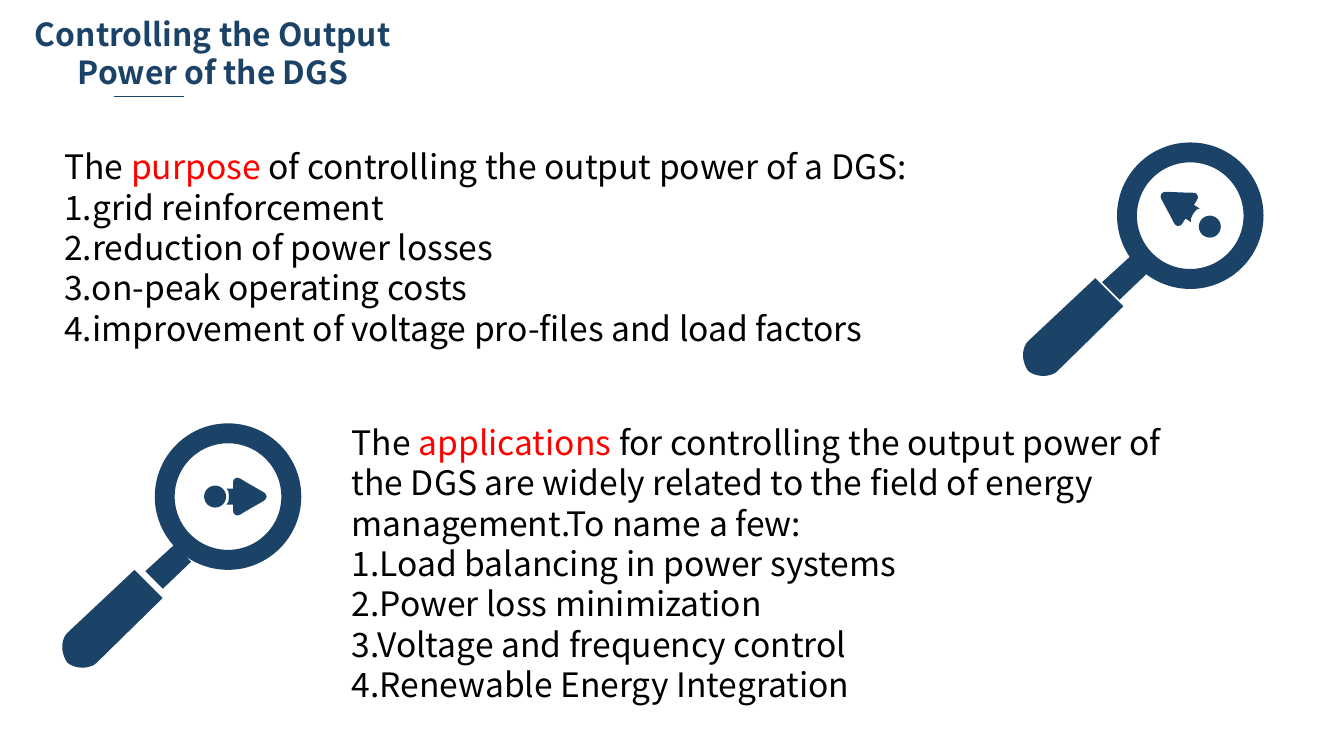
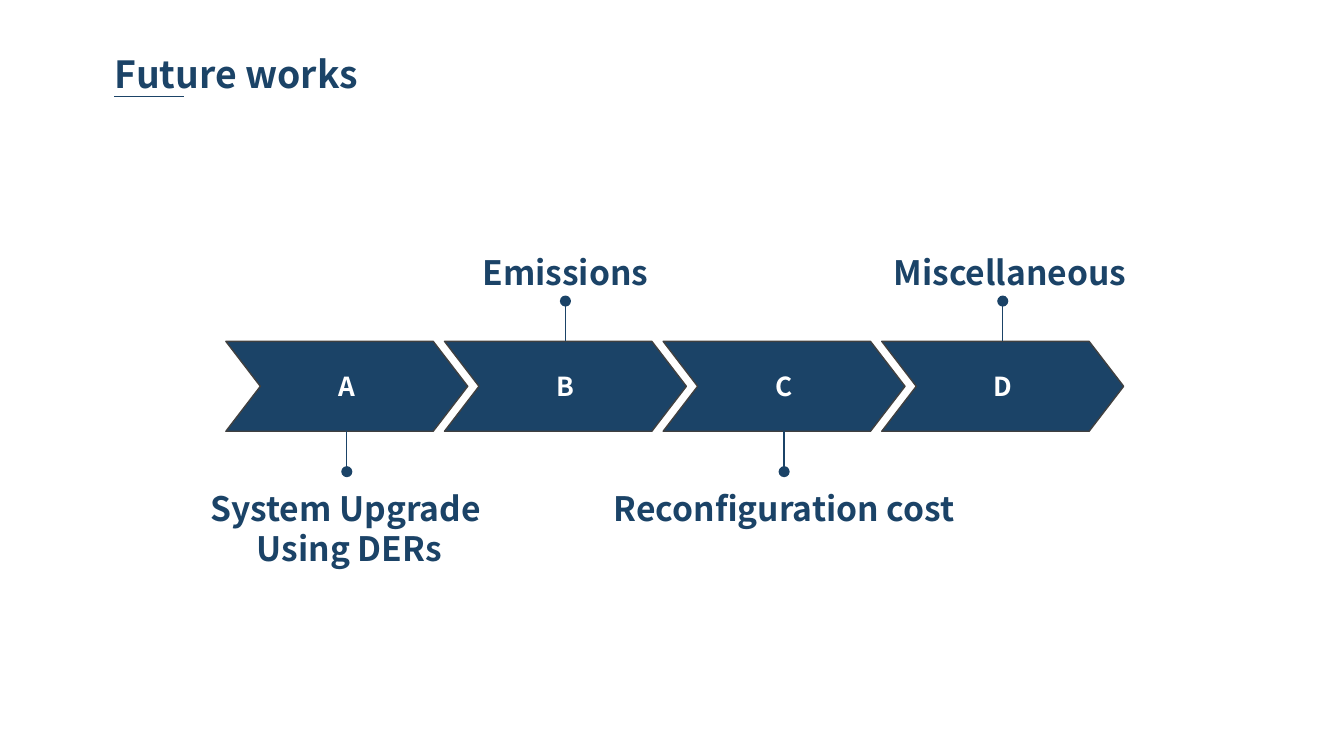
from collections import namedtuple
from dataclasses import dataclass

from lxml import etree
from pptx import Presentation
from pptx.dml.color import RGBColor
from pptx.enum import shapes, text
from pptx.oxml import ns
from pptx.util import Pt

Box = namedtuple("Box", "x y w h")


@dataclass(frozen=True)
class Theme:
    """Colours, font and type sizes of the deck."""
    navy: str = "1B4367"
    red: str = "FF0000"
    black: str = "000000"
    white: str = "FFFFFF"
    edge: str = "404040"
    font: str = "Noto Sans CJK SC"
    head: int = 20
    long: int = 17
    body: int = 18
    step: int = 14
    rule: float = 0.75


T = Theme()
BODY = (7.2, 3.6)
TIGHT = (5.4, 2.7)
LEFT, MID = text.PP_ALIGN.LEFT, text.PP_ALIGN.CENTER


def rgb(code):
    """Turn a hex code into a colour."""
    return RGBColor.from_string(code)


def style(para, size, color, bold=False, align=LEFT):
    """Set the font and alignment of a paragraph."""
    para.alignment = align
    font = para.font
    font.name, font.size, font.bold = T.font, Pt(size), bold
    font.color.rgb = rgb(color)


def inset(frame, pad):
    """Set side and top margins of a text frame."""
    frame.margin_left = frame.margin_right = Pt(pad[0])
    frame.margin_top = frame.margin_bottom = Pt(pad[1])


def write(slide, box, lines, size, color, pad=TIGHT, bold=True, align=LEFT, wrap=True):
    """Add a text box; a line may be a list of (words, colour) runs."""
    frame = slide.shapes.add_textbox(*map(Pt, box)).text_frame
    inset(frame, pad)
    frame.word_wrap = wrap
    frame.auto_size = text.MSO_AUTO_SIZE.SHAPE_TO_FIT_TEXT
    for i, line in enumerate(lines):
        para = frame.add_paragraph() if i else frame.paragraphs[0]
        style(para, size, color, bold, align)
        if isinstance(line, str):
            para.add_run().text = line
            continue
        for words, tint in line:
            run = para.add_run()
            run.text = words
            run.font.color.rgb = rgb(tint)


def paint(shape, edge=None):
    """Fill a shape navy, with an optional outline."""
    shape.shadow.inherit = False
    shape.fill.solid()
    shape.fill.fore_color.rgb = rgb(T.navy)
    if edge:
        shape.line.color.rgb = rgb(edge)
        shape.line.width = Pt(T.rule)
    else:
        shape.line.fill.background()
    return shape


def preset(slide, kind, box, edge=None):
    """Add a painted preset shape."""
    return paint(slide.shapes.add_shape(kind, *map(Pt, box)), edge)


def outline(slide, x, y, points):
    """Add a painted closed outline with its origin at x, y."""
    first, *rest = [(Pt(a), Pt(b)) for a, b in points]
    pen = slide.shapes.build_freeform(*first)
    pen.add_line_segments(rest, close=True)
    return paint(pen.convert_to_shape(Pt(x), Pt(y)))


def curve(a, b, c, d, parts=10):
    """Sample a cubic curve."""
    points = []
    for i in range(parts + 1):
        t = i / parts
        s = 1 - t
        mix = (s ** 3, 3 * s * s * t, 3 * s * t * t, t ** 3)
        points.append(tuple(sum(m * p[k] for m, p in zip(mix, (a, b, c, d))) for k in (0, 1)))
    return points


def line(slide, x1, y1, x2, y2, dot=False):
    """Draw a thin navy line, with a dot at its end if asked."""
    link = slide.shapes.add_connector(shapes.MSO_CONNECTOR.STRAIGHT, *map(Pt, (x1, y1, x2, y2)))
    link.line.color.rgb = rgb(T.navy)
    link.line.width = Pt(T.rule)
    if dot:
        etree.SubElement(link.line._get_or_add_ln(), ns.qn("a:tailEnd"), type="oval")
    etree.SubElement(link._element.spPr, ns.qn("a:effectLst"))


def title(slide, box, words, size, align=LEFT):
    """Place the slide title and the short rule below it."""
    write(slide, box, [words], size, T.navy, align=align)
    line(slide, 61.2, 51.8, 98.6, 51.8)


GRIP = [(39.6, 0),
        *curve((3.6, 33.8), (0, 37.4), (0, 44.6), (3.6, 49.7)),
        *curve((3.6, 49.7), (7.9, 53.3), (15.8, 53.3), (19.4, 49.7)),
        (54.7, 15.1)]
NECK = [(24.5, 9.4), (9.4, 23.8), (0, 14.4), (15.8, 0)]
HALF = [(0, 0), (1.3, 0.5), (2.2, 1.4), (8, 11.5), (9.4, 13.7), (10.1, 15.5), (9.9, 16.6),
        (8.8, 17.8), (7.2, 18), (4.3, 18), (4.3, 21.6), (2.9, 20.5), (0, 20.2)]
ARROW = HALF + [(-x, y) for x, y in HALF[-2:0:-1]]


def glass(slide, box, arrow, dot, turn, neck, grip):
    """Draw a magnifier whose lens fills the box; parts are offset from it."""
    cx, cy = box.x + box.w / 2, box.y + box.h / 2
    tip = outline(slide, cx + arrow[0], cy + arrow[1] - 10.8, ARROW)
    tip.rotation = turn
    size = 11.8
    preset(slide, shapes.MSO_SHAPE.OVAL,
           (cx + dot[0] - size / 2, cy + dot[1] - size / 2, size, size))
    outline(slide, box.x + neck[0], box.y + neck[1], NECK)
    preset(slide, shapes.MSO_SHAPE.DONUT, box).adjustments[0] = 0.136
    outline(slide, box.x + grip[0], box.y + grip[1], GRIP)


def notes(slide, box, lead, key, tail, items):
    """Write a lead sentence with a red key word and numbered items."""
    runs = [(lead, T.black), (key, T.red), (tail, T.black)]
    lines = [runs] + [f"{i}.{item}" for i, item in enumerate(items, 1)]
    write(slide, box, lines, T.body, T.black, BODY, bold=False)


def power(slide):
    """Build the slide on output power."""
    title(slide, Box(7.2, 5, 213.8, 46.8), "Controlling the Output Power of the DGS", T.long, MID)
    notes(slide, Box(27.4, 74.9, 626.4, 116), "The ", "purpose",
          " of controlling the output power of a DGS:",
          ["grid reinforcement", "reduction of power losses", "on-peak operating costs",
           "improvement of voltage pro-files and load factors"])
    glass(slide, Box(598.4, 76.3, 78.5, 78.5), (-6.4, -5.9), (10.5, 5.9), 302,
          (-8, 60.5), (-51.2, 72.7))
    glass(slide, Box(82.9, 226.8, 78.5, 78.5), (9.9, 0), (-6.9, 0), 90,
          (-5, 64.8), (-50.4, 78.5))
    notes(slide, Box(181.4, 222.5, 478.8, 160), "The ", "applications",
          " for controlling the output power of the DGS are widely related to the field"
          " of energy management.To name a few:",
          ["Load balancing in power systems", "Power loss minimization",
           "Voltage and frequency control", "Renewable Energy Integration"])


def chain(slide, box, steps):
    """Draw chevrons across the box with labels below and above in turn."""
    wide = 129.6
    pitch = (box.w - wide) / (len(steps) - 1)
    for i, (mark, lines, span, shift) in enumerate(steps):
        x = box.x + i * pitch
        chip = preset(slide, shapes.MSO_SHAPE.CHEVRON, (x, box.y, wide, box.h), T.edge)
        chip.adjustments[0] = 0.384
        frame = chip.text_frame
        inset(frame, TIGHT)
        frame.vertical_anchor = text.MSO_ANCHOR.MIDDLE
        frame.paragraphs[0].add_run().text = mark
        style(frame.paragraphs[0], T.step, T.white, True, MID)
        mid, base = x + wide / 2, box.y + box.h
        if i % 2:
            line(slide, mid, box.y, mid, box.y - 21.6, True)
            top = box.y - 50.4
        else:
            line(slide, mid, base, mid, base + 21.6, True)
            top = base + 27.4
        place = Box(mid + shift - span / 2, top, span, 27.4 if len(lines) == 1 else 66.2)
        write(slide, place, lines, T.body, T.navy, align=MID, wrap=False)


def future(slide):
    """Build the slide on future works."""
    title(slide, Box(56.2, 24.5, 177.8, 29.5), "Future works", T.head)
    chain(slide, Box(121, 182.9, 481, 48.2), [
        ("A", ["System Upgrade ", "Using DERs"], 167, 1.4),
        ("B", ["Emissions"], 100.8, 0),
        ("C", ["Reconfiguration cost"], 199.4, 0),
        ("D", ["Miscellaneous"], 140.4, 3.9)])


def main():
    """Build and save the deck."""
    deck = Presentation()
    deck.slide_width, deck.slide_height = Pt(720), Pt(405)
    for build in (power, future):
        build(deck.slides.add_slide(deck.slide_layouts[6]))
    deck.save("out.pptx")


if __name__ == "__main__":
    main()
